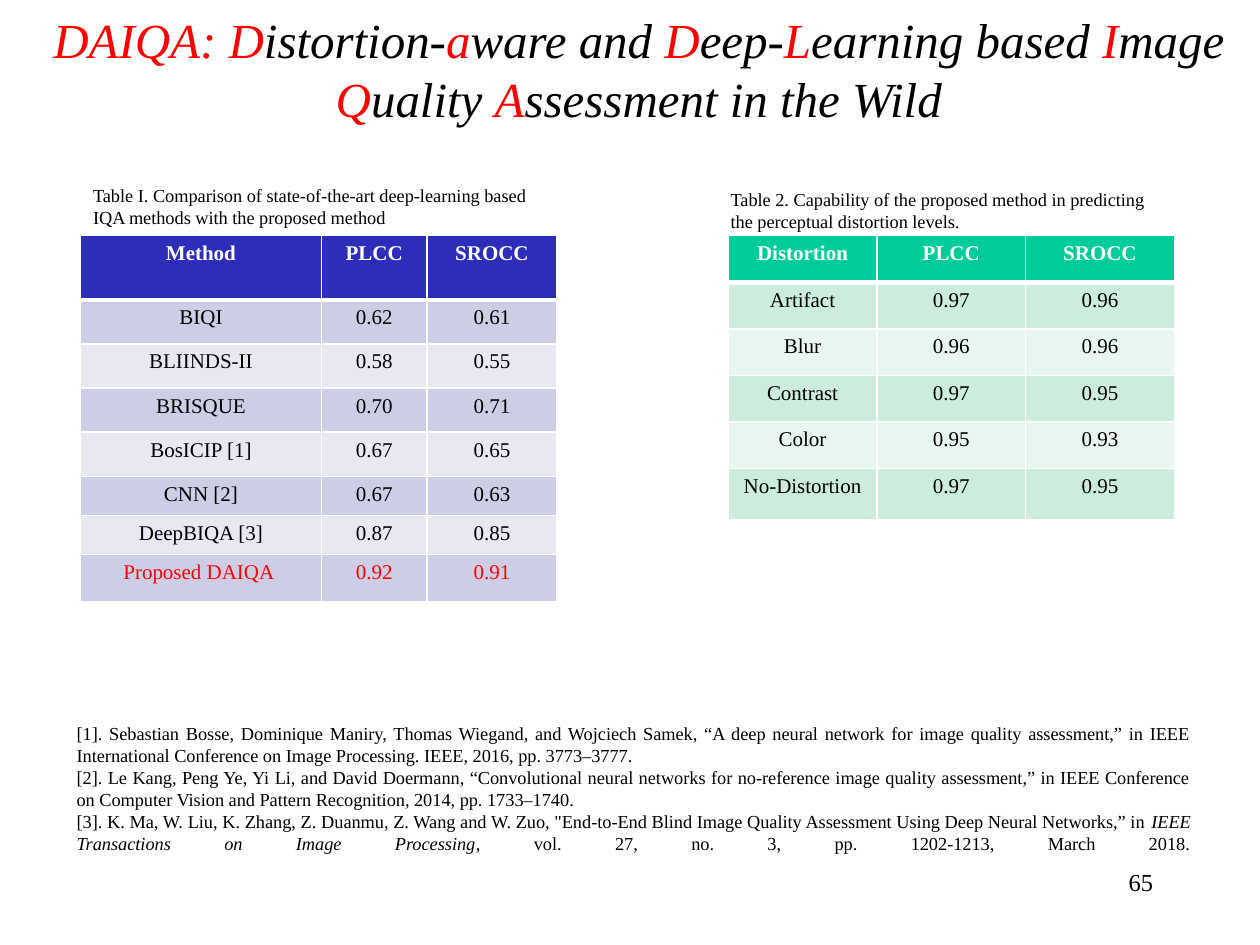
import pptx
import pptx.util
import pptx.dml.color
import pptx.enum.text
import pptx.oxml
import pptx.oxml.ns

Inches, Pt = pptx.util.Inches, pptx.util.Pt
ALIGN = pptx.enum.text.PP_ALIGN
FONT = "Times New Roman"
COLORS = {
    "black": "000000", "white": "FFFFFF", "red": "FF0000",
    "blue": "2D2DB9", "blue_mid": "CDCDE6", "blue_pale": "E8E8F3",
    "green": "00CC99", "green_mid": "CCECDE", "green_pale": "E7F6EF",
}

TITLE = [
    ("DAIQA: D", "istortion-"), ("a", "ware and "), ("D", "eep-"),
    ("L", "earning based "), ("I", "mage "), ("Q", "uality "),
    ("A", "ssessment in the Wild"),
]
TABLES = [
    {
        "place": (0.64, 1.87), "hue": "blue", "last": "red",
        "cols": [1.91, 0.84, 1.03],
        "heights": [0.51] + [0.35] * 4 + [0.31] * 2 + [0.38],
        "rows": [
            ("Method", "PLCC", "SROCC"),
            ("BIQI", "0.62", "0.61"),
            ("BLIINDS-II", "0.58", "0.55"),
            ("BRISQUE", "0.70", "0.71"),
            ("BosICIP [1]", "0.67", "0.65"),
            ("CNN [2]", "0.67", "0.63"),
            ("DeepBIQA [3]", "0.87", "0.85"),
            ("Proposed DAIQA ", "0.92", "0.91"),
        ],
        "caption": "Table I. Comparison of state-of-the-art deep-learning based "
                   "IQA methods with the proposed method",
        "box": (0.64, 1.41, 3.78, 0.45),
    },
    {
        "place": (5.78, 1.87), "hue": "green", "last": "black",
        "cols": [1.18] * 3,
        "heights": [0.37] * 5 + [0.41],
        "rows": [
            ("Distortion", "PLCC", "SROCC"),
            ("Artifact", "0.97", "0.96"),
            ("Blur", "0.96", "0.96"),
            ("Contrast", "0.97", "0.95"),
            ("Color", "0.95", "0.93"),
            ("No-Distortion", "0.97", "0.95"),
        ],
        "caption": "Table 2. Capability of the proposed method in predicting "
                   "the perceptual distortion levels.",
        "box": (5.7, 1.44, 3.62, 0.45),
    },
]
REFS = [
    ["[1]. Sebastian Bosse, Dominique Maniry, Thomas Wiegand, and Wojciech Samek, "
     "“A deep neural network for image quality assessment,” in IEEE International "
     "Conference on Image Processing. IEEE, 2016, pp. 3773–3777."],
    ["[2]. Le Kang, Peng Ye, Yi Li, and David Doermann, “Convolutional neural "
     "networks for no-reference image quality assessment,” in IEEE Conference on "
     "Computer Vision and Pattern Recognition, 2014, pp. 1733–1740."],
    ["[3]. K. Ma, W. Liu, K. Zhang, Z. Duanmu, Z. Wang and W. Zuo, \"End-to-End "
     "Blind Image Quality Assessment Using Deep Neural Networks,” in ",
     "IEEE Transactions on Image Processing",
     ", vol. 27, no. 3, pp. 1202-1213, March 2018."],
]


def style(run, size, color="black", bold=False, italic=False):
    font = run.font
    font.name, font.size = FONT, Pt(size)
    font.bold, font.italic = bold, italic
    font.color.rgb = pptx.dml.color.RGBColor.from_string(COLORS[color])


def add_box(slide, place):
    frame = slide.shapes.add_textbox(*map(Inches, place)).text_frame
    frame.word_wrap = True
    return frame


def add_line(slide, place, text, size, align=ALIGN.LEFT):
    frame = add_box(slide, place)
    frame.text = text
    frame.paragraphs[0].alignment = align
    style(frame.paragraphs[0].runs[0], size)


def set_edges(cell, row):
    widths = {"L": 1, "R": 1, "T": 3 if row == 1 else 1, "B": 3 if row == 0 else 1}
    for side, width in widths.items():
        cell._tc.get_or_add_tcPr().append(pptx.oxml.parse_xml(
            f'<a:ln{side} {pptx.oxml.ns.nsdecls("a")} w="{Pt(width)}"><a:solidFill>'
            f'<a:srgbClr val="{COLORS["white"]}"/></a:solidFill></a:ln{side}>'))


def add_grid(slide, data):
    rows, cols, heights = data["rows"], data["cols"], data["heights"]
    size = (sum(cols), sum(heights))
    table = slide.shapes.add_table(
        len(rows), len(cols), *map(Inches, data["place"] + size)).table
    for col, width in zip(table.columns, cols):
        col.width = Inches(width)
    for r, values in enumerate(rows):
        table.rows[r].height = Inches(heights[r])
        shade = data["hue"] + ("" if r == 0 else "_mid" if r % 2 else "_pale")
        ink = "white" if r == 0 else data["last"] if r == len(rows) - 1 else "black"
        for c, value in enumerate(values):
            cell = table.cell(r, c)
            set_edges(cell, r)
            cell.fill.solid()
            cell.fill.fore_color.rgb = pptx.dml.color.RGBColor.from_string(COLORS[shade])
            cell.text_frame.text = value
            para = cell.text_frame.paragraphs[0]
            para.alignment = ALIGN.CENTER
            style(para.runs[0], 12, ink, bold=r == 0)


def add_title(slide):
    frame = add_box(slide, (0.28, 0, 9.58, 1.08))
    frame.vertical_anchor = pptx.enum.text.MSO_ANCHOR.MIDDLE
    para = frame.paragraphs[0]
    para.alignment = ALIGN.CENTER
    for pair in TITLE:
        for text, color in zip(pair, ("red", "black")):
            run = para.add_run()
            run.text = text
            style(run, 28, color, italic=True)


def add_refs(slide):
    frame = add_box(slide, (0.51, 5.68, 9.04, 1.34))
    for i, parts in enumerate(REFS):
        para = frame.add_paragraph() if i else frame.paragraphs[0]
        para.alignment = ALIGN.JUSTIFY
        for j, text in enumerate(parts):
            run = para.add_run()
            run.text = text
            style(run, 10.5, italic=j == 1)
    para.add_line_break()


def main():
    deck = pptx.Presentation()
    deck.slide_width, deck.slide_height = Inches(10), Inches(7.5)
    slide = deck.slides.add_slide(deck.slide_layouts[6])
    add_title(slide)
    add_line(slide, (7.17, 6.83, 2.08, 0.5), "65", 14, ALIGN.RIGHT)
    for data in TABLES:
        add_grid(slide, data)
        add_line(slide, data["box"], data["caption"], 10.5)
    add_refs(slide)
    deck.save("out.pptx")


if __name__ == "__main__":
    main()
